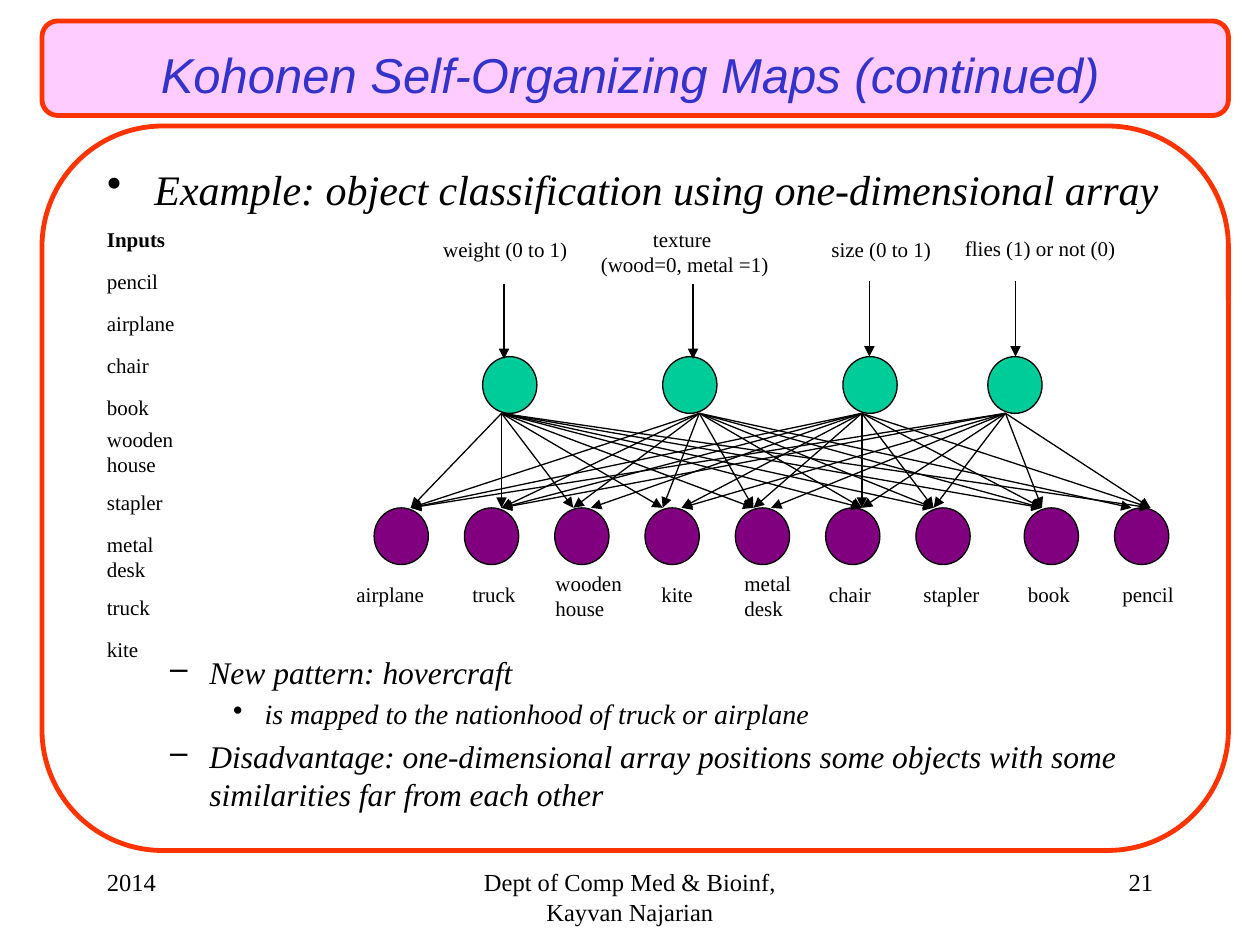
from dataclasses import dataclass

from lxml import etree
from pptx import Presentation
from pptx.dml.color import RGBColor
from pptx.enum.shapes import MSO_CONNECTOR, MSO_SHAPE
from pptx.enum.text import MSO_ANCHOR, MSO_AUTO_SIZE, PP_ALIGN
from pptx.oxml.ns import qn
from pptx.util import Pt

LEFT, MID, RIGHT = PP_ALIGN.LEFT, PP_ALIGN.CENTER, PP_ALIGN.RIGHT
OVAL, ROUND = MSO_SHAPE.OVAL, MSO_SHAPE.ROUNDED_RECTANGLE
STRAIGHT = MSO_CONNECTOR.STRAIGHT
TOP, MIDDLE = MSO_ANCHOR.TOP, MSO_ANCHOR.MIDDLE
FIXED = MSO_AUTO_SIZE.NONE


@dataclass(frozen=True)
class Theme:
    ink: RGBColor = RGBColor(0, 0, 0)
    blue: RGBColor = RGBColor(0x33, 0x33, 0xCC)
    pink: RGBColor = RGBColor(0xFF, 0xCC, 0xFF)
    red: RGBColor = RGBColor(0xFF, 0x33, 0x00)
    green: RGBColor = RGBColor(0x00, 0xCC, 0x99)
    plum: RGBColor = RGBColor(0x80, 0x00, 0x80)
    sans: str = "Arial"
    serif: str = "Times New Roman"
    head: int = 28
    levels: tuple = (24, 18, 16)
    foot: int = 14
    label: int = 12
    thin: float = 0.75
    thick: float = 2.75


THEME = Theme()

# level, text, space before
POINTS = [
    (0, "Example: object classification using one-dimensional array", 0),
    (1, "New pattern: hovercraft", 251),
    (2, "is mapped to the nationhood of truck or airplane", 3.2),
    (1, "Disadvantage: one-dimensional array positions some objects "
        "with some similarities far from each other", 3.6),
]
# left margin, hanging indent, bullet
LEVELS = [(27, -27, "•"), (58.5, -22.5, "–"), (90, -18, "•")]

# name, height, gap to the next row
INPUTS = [("Inputs", 22, 24), ("pencil", 22, 24), ("airplane", 22, 24),
          ("chair", 22, 24), ("book", 22, 18), ("wooden house", 36, 36),
          ("stapler", 22, 24), ("metal desk", 36, 36), ("truck", 22, 24),
          ("kite", 22, 24)]

# label, its box (x, y, width, height), arrow x, arrow y, node x
FEATURES = [
    ("weight (0 to 1)", (50.2, 5.8, 85.7, 21.6), 92, 36, 79.8),
    ("texture \n(wood=0, metal =1)", (140.2, 0, 110.2, 36), 200, 36, 182.7),
    ("size (0 to 1)", (272, 5.8, 71.3, 21.6), 300.8, 34.6, 285.7),
    ("flies (1) or not (0)", (348.3, 5, 103.7, 21.6), 384.3, 34.6, 368.5),
]
# label, label x, label y
CLASSES = [("airplane", 0.6, 203), ("truck", 66.8, 203),
           ("wooden house", 114.3, 196.6), ("kite", 174.8, 203),
           ("metal desk", 222.3, 196.6), ("chair", 270.6, 203),
           ("stapler", 324.6, 203), ("book", 384.3, 203),
           ("pencil", 438.3, 203)]
PORTS = [38.7, 90.6, 131.6, 182.7, 234.6, 296.5, 337.5, 399.4, 461.4]
# start x, ends that differ from PORTS (None: no link)
FANS = [(90.6, {}), (203.6, {8: 450.6}), (296.5, {2: 141.7, 3: 193.5}),
        (378.6, {2: None, 3: 193.5, 4: 244.6})]


def style(para, size, face=THEME.serif, color=THEME.ink, italic=False,
          bold=False):
    font = para.font
    font.size, font.name = Pt(size), face
    font.color.rgb = color
    font.italic, font.bold = italic, bold


def place(shape, box):
    shape.left, shape.top, shape.width, shape.height = map(Pt, box)


def write(slide, text, box, size=THEME.label, align=LEFT, wrap=True,
          bold=False):
    frame = slide.shapes.add_textbox(*map(Pt, box)).text_frame
    frame.word_wrap = wrap
    frame.text = text
    for para in frame.paragraphs:
        para.alignment = align
        style(para, size, bold=bold)


def draw(slide, kind, box, fill, line, width):
    shape = slide.shapes.add_shape(kind, *map(Pt, box))
    shape.shadow.inherit = False
    if fill is None:
        shape.fill.background()
    else:
        shape.fill.solid()
        shape.fill.fore_color.rgb = fill
    shape.line.color.rgb = line
    shape.line.width = Pt(width)
    return shape


def arrow(slide, *ends):
    link = slide.shapes.add_connector(STRAIGHT, *map(Pt, ends))
    link.line.color.rgb = THEME.ink
    link.line.width = Pt(THEME.thin)
    etree.SubElement(link.line._get_or_add_ln(), qn("a:tailEnd"),
                     type="triangle")
    etree.SubElement(link.element.spPr, qn("a:effectLst"))


def title(slide, box):
    head = slide.shapes.title
    place(head, box)
    frame = head.text_frame
    frame.text = "Kohonen Self-Organizing Maps (continued)"
    frame.auto_size, frame.vertical_anchor = FIXED, MIDDLE
    para = frame.paragraphs[0]
    para.alignment = MID
    style(para, THEME.head, THEME.sans, THEME.blue, italic=True)


def panels(slide, box):
    """Draw the banner and the frame below it, behind all text."""
    x, y, w, h = box
    parts = [((x, y, w, 54), THEME.pink), ((x, y + 60, w, h - 60), None)]
    for at, (part, fill) in enumerate(parts, 2):
        shape = draw(slide, ROUND, part, fill, THEME.red, THEME.thick)
        shape.element.getparent().insert(at, shape.element)


def body(slide, box):
    holder = slide.placeholders[1]
    place(holder, box)
    frame = holder.text_frame
    frame.auto_size, frame.vertical_anchor = FIXED, TOP
    frame.text = "\n".join(text for _, text, _ in POINTS)
    for para, (level, _, gap) in zip(frame.paragraphs, POINTS):
        margin, indent, mark = LEVELS[level]
        para.level = level
        para.space_before = Pt(gap)
        props = para._p.get_or_add_pPr()
        props.set("marL", str(Pt(margin)))
        props.set("indent", str(Pt(indent)))
        etree.SubElement(props, qn("a:buFontTx"))
        etree.SubElement(props, qn("a:buChar"), char=mark)
        style(para, THEME.levels[level], italic=True)


def inputs(slide, box):
    x, y, w, _ = box
    for row, (name, high, step) in enumerate(INPUTS):
        write(slide, name, (x, y, w, high), bold=row == 0)
        y += step


def network(slide, box):
    x, y, _, _ = box
    wide, high, upper, lower = 31, 32.4, 77.8, 164.2

    def node(left, top, fill):
        draw(slide, OVAL, (x + left, y + top, wide, high), fill,
             THEME.ink, THEME.thin)

    for text, (left, top, w, h), tip, start, spot in FEATURES:
        node(spot, upper, THEME.green)
        arrow(slide, x + tip, y + start, x + tip, y + start + 43.2)
        write(slide, text, (x + left, y + top, w, h), wrap=False,
              align=MID if "\n" in text else LEFT)
    for col, (text, left, top) in enumerate(CLASSES):
        node(17.8 + 51.6 * col + (10.3 if col > 6 else 0), lower, THEME.plum)
        write(slide, text, (x + left, y + top, 60, 22))
    for start, swaps in FANS:
        for col, port in enumerate(PORTS):
            end = swaps.get(col, port)
            if end is not None:
                arrow(slide, x + start, y + upper + high, x + end, y + lower)


def footer(slide, box):
    x, y, w, h = box
    write(slide, "2014", (x, y, 150, h), THEME.foot)
    write(slide, "Dept of Comp Med & Bioinf, Kayvan Najarian",
          (x + (w - 228) / 2, y, 228, h), THEME.foot, MID)
    write(slide, "21", (x + w - 150, y, 150, h), THEME.foot, RIGHT)


def main():
    deck = Presentation()
    deck.slide_width, deck.slide_height = Pt(720), Pt(540)
    slide = deck.slides.add_slide(deck.slide_layouts[1])
    title(slide, (54, 0, 612, 84))
    body(slide, (54, 90, 618, 324))
    panels(slide, (24, 12, 678, 474))
    network(slide, (196, 126, 482, 233))
    inputs(slide, (54, 126, 60, 256))
    footer(slide, (54, 492, 612, 36))
    deck.save("out.pptx")


if __name__ == "__main__":
    main()
